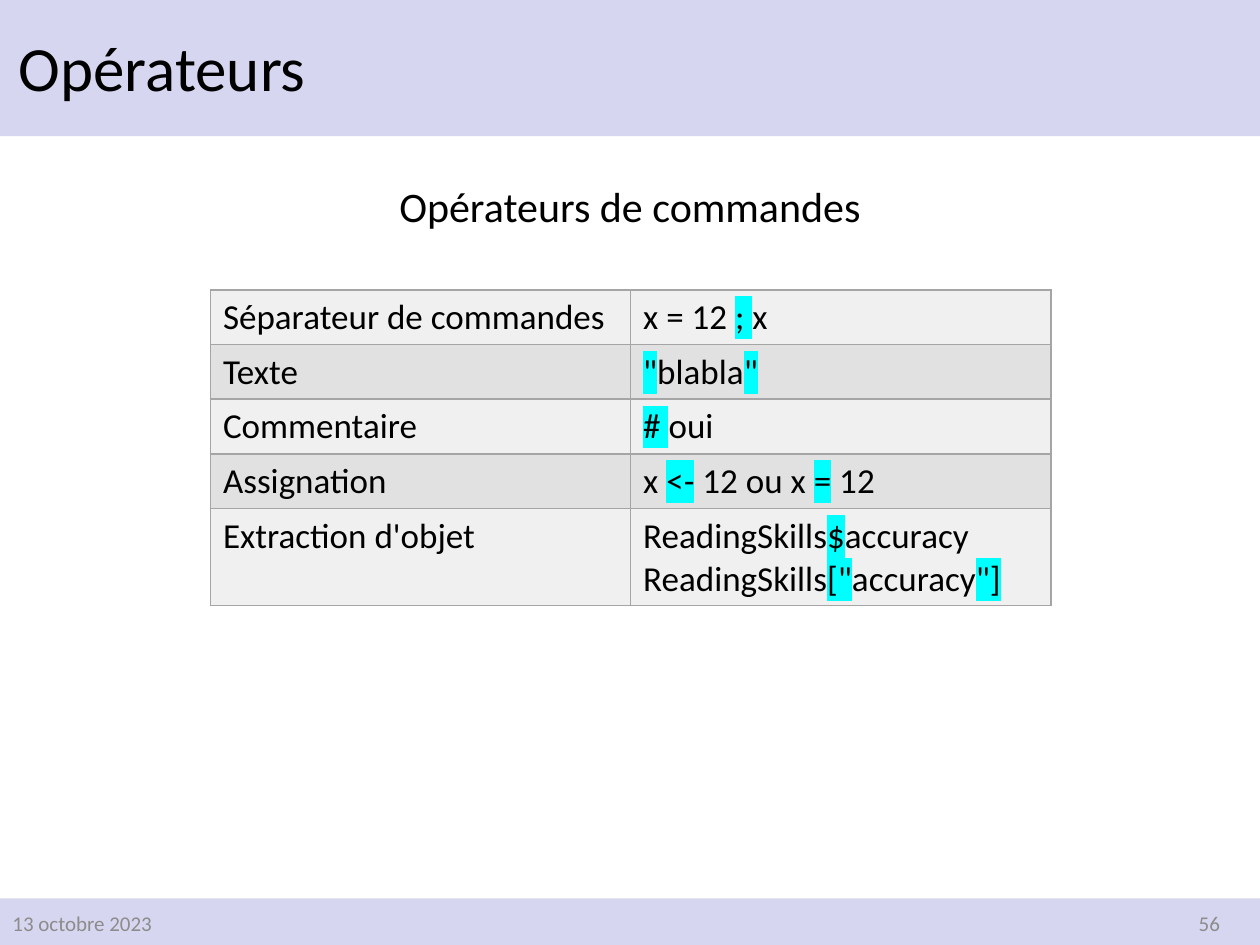
from lxml.etree import SubElement
from pptx import Presentation
from pptx.dml.color import RGBColor
from pptx.enum.shapes import MSO_SHAPE
from pptx.enum.text import MSO_ANCHOR, PP_ALIGN
from pptx.oxml.ns import qn
from pptx.util import Inches, Pt

COLORS = {
    "band": "D6D6F0",
    "text": "000000",
    "footer": "8C8C8C",
    "border": "A5A5A5",
    "odd_row": "F0F0F0",
    "even_row": "E1E1E1",
    "highlight": "00FFFF",
}

# Text between bars is highlighted; each string is one paragraph.
OPERATORS = [
    ("Séparateur de commandes", ["x = 12 |; |x"]),
    ("Texte", ['|"|blabla|"|']),
    ("Commentaire", ["|# |oui"]),
    ("Assignation", ["x |<-| 12 ou x |=| 12"]),
    ("Extraction d'objet",
     ["ReadingSkills|$|accuracy", 'ReadingSkills|["|accuracy|"]|']),
]


def rgb(name):
    return RGBColor.from_string(COLORS[name])


def style(p, size, color="text", align=PP_ALIGN.LEFT, spacing=None):
    p.alignment = align
    if spacing:
        p.line_spacing = spacing
    p.font.name = "Calibri"
    p.font.size = Pt(size)
    p.font.color.rgb = rgb(color)


def add_band(s, top, height):
    sp = s.shapes.add_shape(MSO_SHAPE.RECTANGLE, 0, Inches(top),
                            Inches(10), Inches(height))
    sp.shadow.inherit = False
    sp.fill.solid()
    sp.fill.fore_color.rgb = rgb("band")
    sp.line.fill.background()


def add_text(s, text, left, top, width, height, size,
             anchor=MSO_ANCHOR.TOP, **look):
    tf = s.shapes.add_textbox(Inches(left), Inches(top),
                              Inches(width), Inches(height)).text_frame
    tf.word_wrap = True
    tf.vertical_anchor = anchor
    p = tf.paragraphs[0]
    p.text = text
    style(p, size, **look)


def set_title(s, text):
    title = s.shapes.title
    title.left, title.top = Inches(0.05), Inches(0.07)
    title.width, title.height = Inches(7.33), Inches(0.99)
    title.text = text
    title.text_frame.vertical_anchor = MSO_ANCHOR.MIDDLE
    style(title.text_frame.paragraphs[0], 36, spacing=0.9)


def highlight(r):
    mark = SubElement(r.font._element, qn("a:highlight"))
    SubElement(mark, qn("a:srgbClr"), val=COLORS["highlight"])


def add_borders(cell):
    """Draw the four edges; they must precede the fill in the cell."""
    tcPr = cell._tc.get_or_add_tcPr()
    for side in ("lnL", "lnR", "lnT", "lnB"):
        ln = SubElement(tcPr, qn(f"a:{side}"), w=str(Pt(1)))
        fill = SubElement(ln, qn("a:solidFill"))
        SubElement(fill, qn("a:srgbClr"), val=COLORS["border"])


def fill_cell(cell, lines, color):
    add_borders(cell)
    cell.fill.solid()
    cell.fill.fore_color.rgb = rgb(color)
    tf = cell.text_frame
    for i, line in enumerate(lines):
        p = tf.add_paragraph() if i else tf.paragraphs[0]
        style(p, 20)
        for j, part in enumerate(line.split("|")):
            if part:
                r = p.add_run()
                r.text = part
                if j % 2:
                    highlight(r)


def add_operator_table(s):
    table = s.shapes.add_table(len(OPERATORS), 2, Inches(1.67), Inches(2.3),
                               Inches(6.67), Inches(2.5)).table
    for i, (label, example) in enumerate(OPERATORS):
        table.rows[i].height = Inches(0.43 if len(example) == 1 else 0.77)
        color = "even_row" if i % 2 else "odd_row"
        fill_cell(table.cell(i, 0), [label], color)
        fill_cell(table.cell(i, 1), example, color)


def main():
    prs = Presentation()
    prs.slide_width, prs.slide_height = Inches(10), Inches(7.5)
    s = prs.slides.add_slide(prs.slide_layouts[5])
    add_band(s, 0, 1.08)
    add_band(s, 7.13, 0.37)
    # Bring the title in front of the bands.
    s.shapes._spTree.append(s.shapes.title._element)
    set_title(s, "Opérateurs")
    footer = dict(size=12, color="footer", anchor=MSO_ANCHOR.MIDDLE)
    add_text(s, "13 octobre 2023", 0, 7.13, 2.25, 0.4, **footer)
    add_text(s, "56", 7.53, 7.13, 2.25, 0.4, align=PP_ALIGN.RIGHT, **footer)
    add_text(s, "Opérateurs de commandes", 0, 1.18, 10, 0.64, 24,
             align=PP_ALIGN.CENTER, spacing=1.5)
    add_operator_table(s)
    prs.save("out.pptx")


if __name__ == "__main__":
    main()
